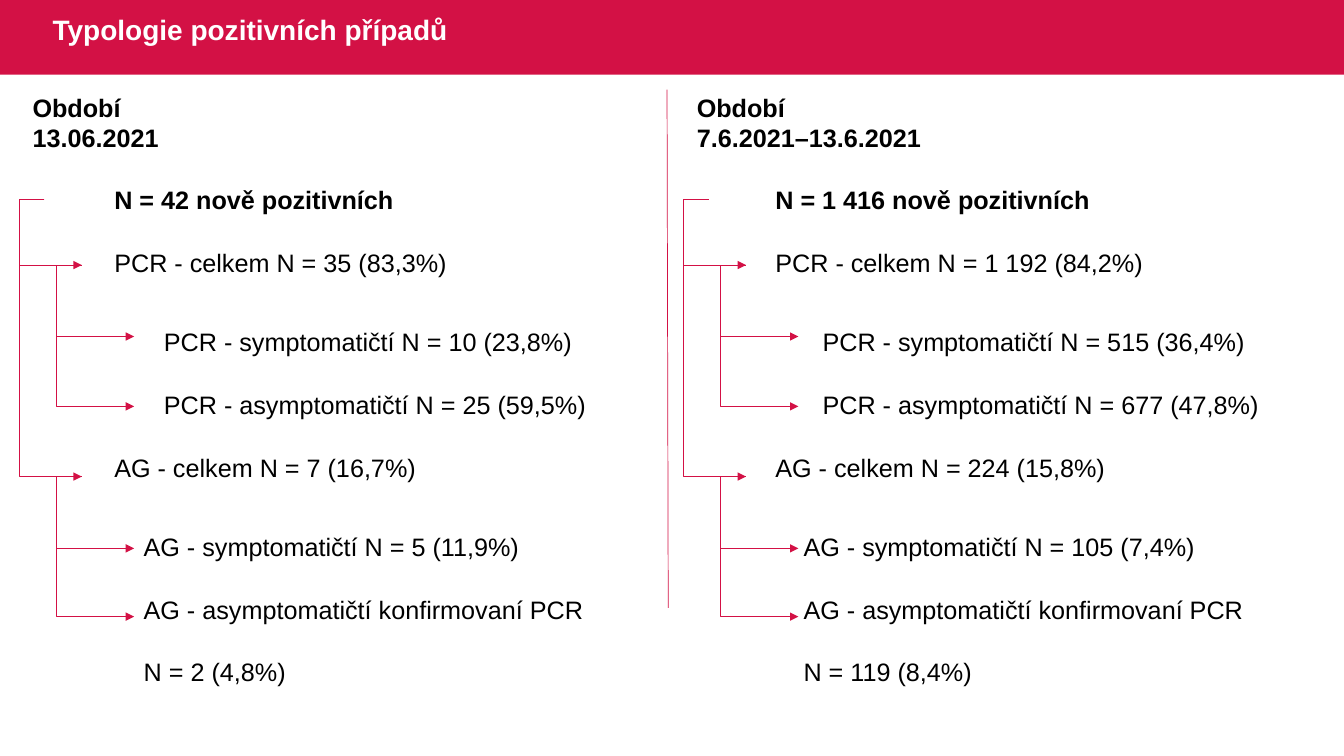
from lxml.etree import SubElement
from pptx import Presentation
from pptx.dml.color import RGBColor
from pptx.enum.shapes import MSO_CONNECTOR as Connector, MSO_SHAPE as Shape
from pptx.enum.text import MSO_ANCHOR as Anchor, MSO_AUTO_SIZE as AutoSize, PP_ALIGN as Align
from pptx.oxml.ns import qn
from pptx.util import Cm, Pt

CRIMSON = RGBColor(0xD3, 0x11, 0x45)
BLACK = RGBColor(0x00, 0x00, 0x00)
WHITE = RGBColor(0xFF, 0xFF, 0xFF)
NO_GRID_STYLE = "{2D5ABB26-0587-4C30-8999-92F81FD0307C}"

# Each row: first text column, vertical anchor, bold
ROWS = [
    (0, Anchor.BOTTOM, True),
    (0, Anchor.TOP, True),
    (1, Anchor.TOP, True),
    (1, Anchor.TOP, False),
    (3, Anchor.MIDDLE, False),
    (3, Anchor.MIDDLE, False),
    (1, Anchor.MIDDLE, False),
    (2, Anchor.BOTTOM, False),
    (2, Anchor.BOTTOM, False),
    (2, Anchor.BOTTOM, False),
]
ROW_HEIGHT = 1.58
TABLE_TOP = 1.52

# Heights of the branches of the tree
TOTAL_Y, PCR_Y, AG_Y = 5.03, 6.68, 12.01
PCR_PARTS_Y = (8.48, 10.24)
AG_PARTS_Y = (13.82, 15.54)
BEND = 0.64

# Table left, column widths, tree left, period and counts
PERIODS = [
    (0.79, (2.06, 0.74, 0.51, 13.49), 0.48, "13.06.2021",
     ("42", "35 (83,3%)", "10 (23,8%)", "25 (59,5%)",
      "7 (16,7%)", "5 (11,9%)", "2 (4,8%)")),
    (17.53, (1.98, 0.71, 0.48, 12.95), 17.22, "7.6.2021–13.6.2021",
     ("1 416", "1 192 (84,2%)", "515 (36,4%)", "677 (47,8%)",
      "224 (15,8%)", "105 (7,4%)", "119 (8,4%)")),
]


def row_texts(period, counts):
    total, pcr, pcr_sym, pcr_asym, ag, ag_sym, ag_asym = counts
    return [
        "Období",
        period,
        f"N = {total} nově pozitivních",
        f"PCR - celkem N = {pcr}",
        f"PCR - symptomatičtí N = {pcr_sym}",
        f"PCR - asymptomatičtí N = {pcr_asym}",
        f"AG - celkem N = {ag}",
        f"AG - symptomatičtí N = {ag_sym}",
        "AG - asymptomatičtí konfirmovaní PCR",
        f"N = {ag_asym}",
    ]


class PageBuilder:
    def __init__(self, page, font="Arial", line_width=0.5):
        self.page = page
        self.font = font
        self.line_width = Pt(line_width)

    def add_span(self, para, text, size, color, bold):
        span = para.add_run()
        span.text = text
        span.font.name = self.font
        span.font.size = Pt(size)
        span.font.bold = bold
        span.font.color.rgb = color

    def band(self, width, height):
        box = self.page.shapes.add_shape(Shape.RECTANGLE, 0, 0, Cm(width), Cm(height))
        box.shadow.inherit = False
        box.fill.solid()
        box.fill.fore_color.rgb = CRIMSON
        box.line.fill.background()
        # Behind the title
        self.page.shapes.element.insert(2, box.element)

    def title(self, text, left, top, width, height):
        box = self.page.shapes.title
        box.left, box.top, box.width, box.height = Cm(left), Cm(top), Cm(width), Cm(height)
        frame = box.text_frame
        frame.word_wrap = True
        frame.auto_size = AutoSize.NONE
        frame.vertical_anchor = Anchor.MIDDLE
        para = frame.paragraphs[0]
        para.alignment = Align.LEFT
        para.line_spacing = 0.9
        self.add_span(para, text, 20, WHITE, True)

    def line(self, start, end, kind=Connector.STRAIGHT):
        line = self.page.shapes.add_connector(kind, *map(Cm, start + end))
        line.line.color.rgb = CRIMSON
        line.line.width = self.line_width
        SubElement(line.element.spPr, qn("a:effectLst"))
        return line

    def branch(self, start, end):
        """Arrow that steps left, runs down and then turns right."""
        arrow = self.line(start, end, Connector.ELBOW)
        shape_props = arrow.element.spPr
        guides = shape_props.find(qn("a:prstGeom")).find(qn("a:avLst"))
        share = round(-100000 * BEND / (end[0] - start[0]))
        SubElement(guides, qn("a:gd"), name="adj1", fmla=f"val {share}")
        SubElement(shape_props.find(qn("a:ln")), qn("a:tailEnd"), type="triangle")

    def table(self, left, widths, texts):
        frame = self.page.shapes.add_table(
            len(ROWS), len(widths), Cm(left), Cm(TABLE_TOP),
            Cm(sum(widths)), Cm(ROW_HEIGHT * len(ROWS)))
        table = frame.table
        table.first_row = table.horz_banding = False
        for style in frame.element.iter(qn("a:tableStyleId")):
            style.text = NO_GRID_STYLE
        for column, width in zip(table.columns, widths):
            column.width = Cm(width)
        last = len(widths) - 1
        for index, ((first, anchor, bold), text) in enumerate(zip(ROWS, texts)):
            table.rows[index].height = Cm(ROW_HEIGHT)
            for column in range(len(widths)):
                table.cell(index, column).fill.background()
            cell = table.cell(index, first)
            if first < last:
                cell.merge(table.cell(index, last))
            else:
                table.cell(index, 1).merge(table.cell(index, 2))
            cell.margin_left = cell.margin_right = cell.margin_top = Cm(0.03)
            cell.margin_bottom = 0
            cell.vertical_anchor = anchor
            self.add_span(cell.text_frame.paragraphs[0], text, 18, BLACK, bold)

    def tree(self, left):
        root_x, stem_x, leaf_x = left + 0.64, left + 1.58, left + 2.9
        for y in (AG_Y, PCR_Y):
            self.branch((root_x, TOTAL_Y), (stem_x, y))
        for group_y, parts in ((PCR_Y, PCR_PARTS_Y), (AG_Y, AG_PARTS_Y)):
            for y in parts:
                self.branch((stem_x, group_y), (leaf_x, y))


def main():
    deck = Presentation()
    deck.slide_width, deck.slide_height = Cm(33.87), Cm(19.05)
    builder = PageBuilder(deck.slides.add_slide(deck.slide_layouts[5]))

    # Header
    builder.band(33.87, 1.88)
    builder.title("Typologie pozitivních případů", 1.07, 0, 17.7, 1.6)

    # Divider between the periods
    builder.line((16.81, 2.26), (16.84, 15.32))

    # One table and tree for each period
    for left, widths, tree_left, period, counts in PERIODS:
        builder.table(left, widths, row_texts(period, counts))
        builder.tree(tree_left)

    deck.save("out.pptx")


if __name__ == "__main__":
    main()
